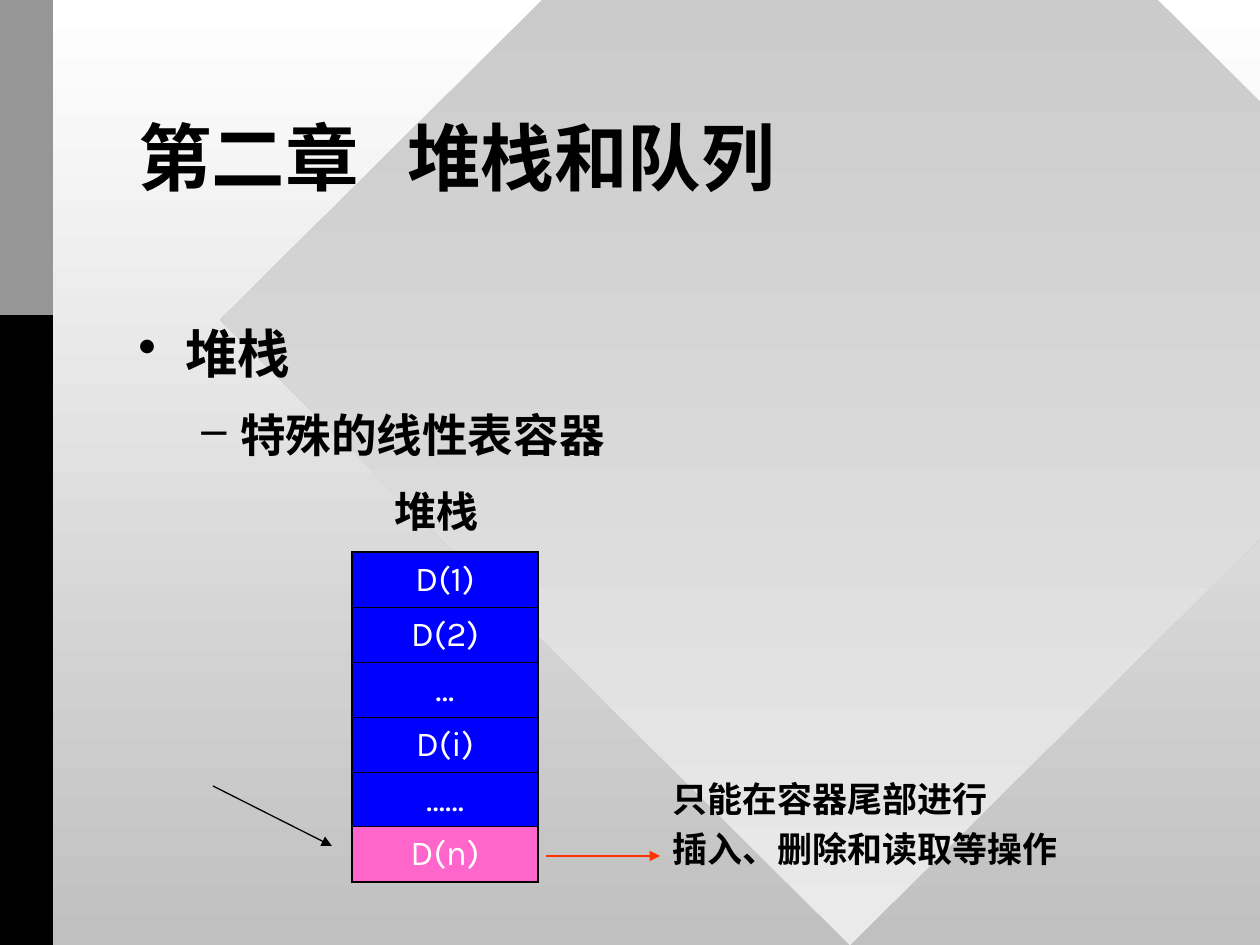
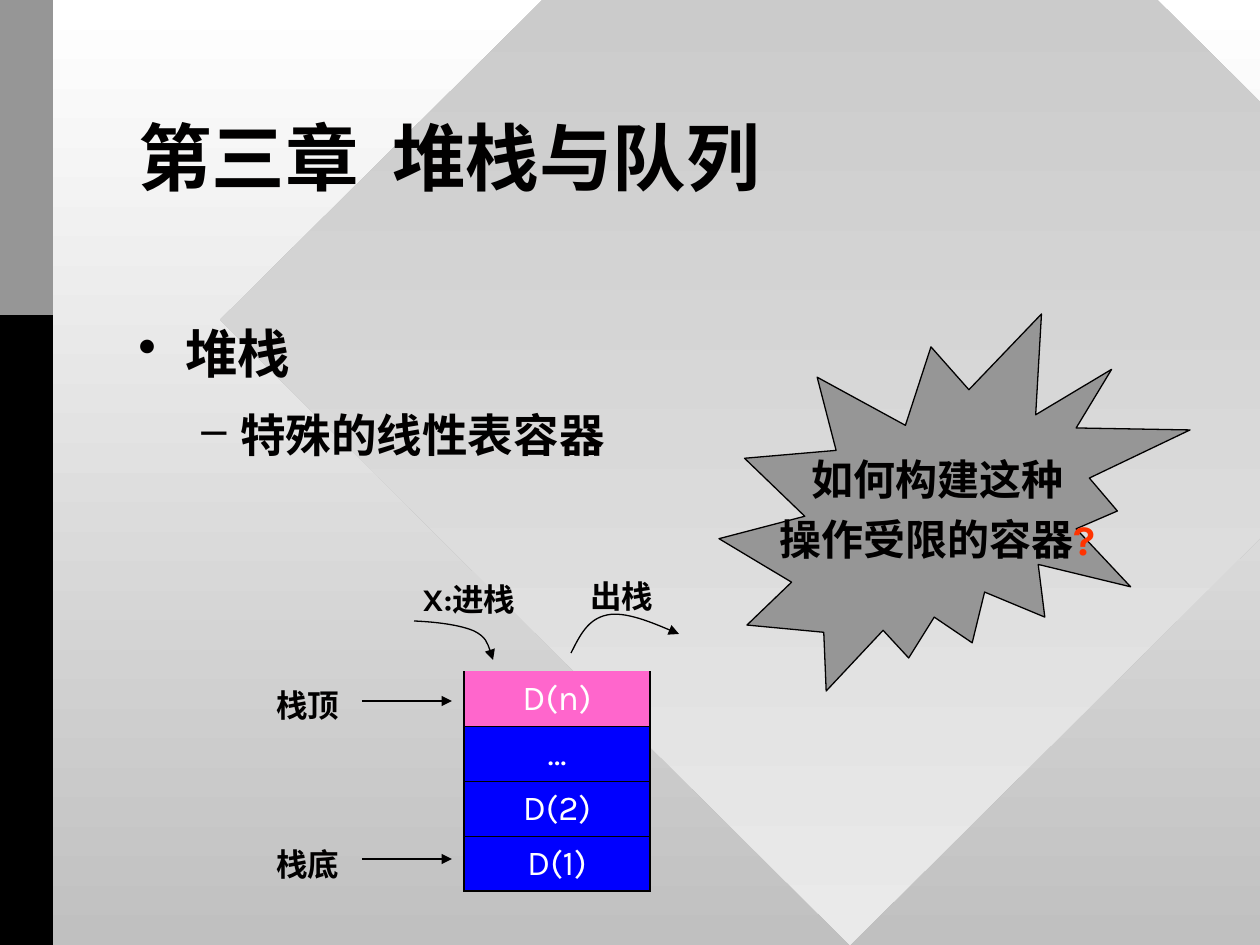
from lxml import etree
from pptx import Presentation
from pptx.dml.color import RGBColor
from pptx.enum.shapes import MSO_CONNECTOR, MSO_SHAPE
from pptx.enum.text import MSO_ANCHOR, MSO_AUTO_SIZE, PP_ALIGN
from pptx.oxml.ns import qn
from pptx.util import Pt

SCALE = 914400 / 126
FONT = "Karla"
COLORS = {
    "ink": "010000",
    "black": "000000",
    "white": "FFFFFF",
    "gray": "969696",
    "silver": "C0C0C0",
    "pale": "EAEAEA",
    "cell": "0000FF",
    "end": "FF66CC",
    "accent": "FF3300",
}
LEFT, CENTER = PP_ALIGN.LEFT, PP_ALIGN.CENTER
MIDDLE = MSO_ANCHOR.MIDDLE
FIT_SHAPE = MSO_AUTO_SIZE.SHAPE_TO_FIT_TEXT
STRAIGHT = MSO_CONNECTOR.STRAIGHT
DIAMOND, RECTANGLE, BURST = MSO_SHAPE.DIAMOND, MSO_SHAPE.RECTANGLE, MSO_SHAPE.EXPLOSION2
LINE_WIDTH, THIN, THICK = 0.74, 0.45, 1.08
ROW_HEIGHT, STACK_WIDTH = 55, 186


def px(length):
    return round(length * SCALE)


def rgb(color):
    return RGBColor.from_string(COLORS[color])


def write(frame, text, size, color="ink", bold=True, align=LEFT, before=0,
          spacing=None, bullet=None, margin=0, hanging=0, level=0, accent=""):
    paragraph = frame.paragraphs[0]
    if paragraph.runs:
        paragraph = frame.add_paragraph()
    paragraph.alignment = align
    paragraph.level = level
    paragraph.space_before = Pt(before)
    if spacing:
        paragraph.line_spacing = spacing
    if bullet:
        properties = paragraph._p.get_or_add_pPr()
        properties.set("marL", str(px(margin)))
        properties.set("indent", str(-px(hanging)))
        etree.SubElement(properties, qn("a:buChar")).set("char", bullet)
    for words, shade in ((text, color), (accent, "accent")):
        if words:
            run = paragraph.add_run()
            run.text = words
            run.font.name = FONT
            run.font.size = Pt(size)
            run.font.bold = bold
            run.font.color.rgb = rgb(shade)


def text_box(slide, left, top, width, height, wrap=True, grow=True):
    frame = slide.shapes.add_textbox(px(left), px(top), px(width), px(height)).text_frame
    frame.word_wrap = wrap
    if grow:
        frame.auto_size = FIT_SHAPE
    return frame


def label(slide, text, left, top, width, height=50, size=18, before=4.5):
    write(text_box(slide, left, top, width, height, wrap=False), text, size, before=before)


def fade(fill, start, end):
    fill.gradient()
    fill.gradient_angle = 270
    for stop, color in zip(fill.gradient_stops, (start, end)):
        stop.color.rgb = rgb(color)


def preset(slide, kind, left, top, width, height, fill=None, line=None):
    shape = slide.shapes.add_shape(kind, px(left), px(top), px(width), px(height))
    shape.shadow.inherit = False
    if fill:
        shape.fill.solid()
        shape.fill.fore_color.rgb = rgb(fill)
    if line:
        shape.line.color.rgb = rgb(line)
        shape.line.width = Pt(LINE_WIDTH)
    else:
        shape.line.fill.background()
    return shape


def add_arrowhead(shape, color):
    shape.line.color.rgb = rgb(color)
    shape.line.width = Pt(LINE_WIDTH)
    outline = shape._element.spPr.find(qn("a:ln"))
    etree.SubElement(outline, qn("a:tailEnd")).set("type", "triangle")


def arrow(slide, start, end, color="ink"):
    connector = slide.shapes.add_connector(STRAIGHT, *map(px, start + end))
    add_arrowhead(connector, color)
    etree.SubElement(connector._element.spPr, qn("a:effectLst"))


def curved_arrow(slide, start, *points):
    builder = slide.shapes.build_freeform(*start, scale=SCALE)
    builder.add_line_segments(points, close=False)
    curve = builder.convert_to_shape()
    curve.shadow.inherit = False
    curve.fill.background()
    add_arrowhead(curve, "ink")
    segments = list(curve._element.iter(qn("a:lnTo")))
    for first, second, third in zip(*[iter(segments)] * 3):
        first.tag = qn("a:cubicBezTo")
        for segment in (second, third):
            first.append(segment[0])
            segment.getparent().remove(segment)


def add_borders(cell, top, bottom):
    properties = cell._tc.get_or_add_tcPr()
    widths = {"a:lnL": THICK, "a:lnR": THICK, "a:lnT": top, "a:lnB": bottom}
    for position, (side, width) in enumerate(widths.items()):
        border = etree.Element(qn(side), w=str(Pt(width)))
        if width:
            fill = etree.SubElement(border, qn("a:solidFill"))
            etree.SubElement(fill, qn("a:srgbClr")).set("val", COLORS["ink"])
        else:
            etree.SubElement(border, qn("a:noFill"))
        properties.insert(position, border)


def stack_table(slide, left, top, entries, top_border):
    count = len(entries)
    table = slide.shapes.add_table(count, 1, px(left), px(top), px(STACK_WIDTH),
                                   px(ROW_HEIGHT * count)).table
    table.first_row = table.horz_banding = False
    for row, entry in enumerate(entries):
        table.rows[row].height = px(ROW_HEIGHT)
        cell = table.cell(row, 0)
        cell.vertical_anchor = MIDDLE
        cell.fill.solid()
        cell.fill.fore_color.rgb = rgb("end" if entry == "D(n)" else "cell")
        write(cell.text_frame, entry, 20, "white", bold=False, align=CENTER, before=15)
        add_borders(cell, THIN if row else top_border, THIN if row < count - 1 else THICK)


def chapter_slide(deck, title):
    slide = deck.slides.add_slide(deck.slide_layouts[6])
    fade(slide.background.fill, "white", "silver")
    fade(preset(slide, DIAMOND, 220, -305, 1260, 1250).fill, "silver", "pale")
    preset(slide, RECTANGLE, 0, 0, 53, 945, "black")
    preset(slide, RECTANGLE, 0, 0, 53, 315, "gray")
    heading = text_box(slide, 126, 84, 1008, 158, grow=False)
    heading.vertical_anchor = MIDDLE
    write(heading, title, 42, spacing=0.85)
    outline = text_box(slide, 126, 315, 1040, 504, grow=False)
    write(outline, "堆栈", 30, before=22.5, bullet="•", margin=47, hanging=47)
    write(outline, "特殊的线性表容器", 26, before=13, bullet="–", margin=102, hanging=39, level=1)
    return slide


def container_slide(deck):
    slide = chapter_slide(deck, "第二章\t 堆栈和队列")
    stack_table(slide, 352, 552, ["D(1)", "D(2)", "…", "D(i)", "……", "D(n)"], THICK)
    label(slide, "堆栈", 382, 479, 114, 63, size=24, before=6)
    arrow(slide, (213, 786), (332, 846))
    arrow(slide, (546, 856), (660, 856), "accent")
    rule = text_box(slide, 660, 771, 417, 106)
    for line in ("只能在容器尾部进行", "插入、删除和读取等操作"):
        write(rule, line, 20, before=5)


def push_pop_slide(deck):
    slide = chapter_slide(deck, "第三章  堆栈与队列")
    stack_table(slide, 464, 671, ["D(n)", "…", "D(2)", "D(1)"], 0)
    curved_arrow(slide, (414, 621), (437, 622), (460, 625), (474, 631),
                 (486, 637), (490, 649), (493, 660))
    label(slide, "X:进栈", 410, 574, 128)
    question = preset(slide, BURST, 719, 314, 471, 377, "gray", "ink").text_frame
    question.word_wrap = False
    question.vertical_anchor = MIDDLE
    write(question, "如何构建这种", 24, align=CENTER, before=6)
    write(question, "操作受限的容器", 24, align=CENTER, before=6, accent="?")
    curved_arrow(slide, (571, 653), (580, 635), (588, 619), (607, 615),
                 (625, 611), (663, 627), (679, 634))
    label(slide, "出栈", 578, 571, 92)
    for name, label_top, level in (("栈底", 839, 859), ("栈顶", 680, 701)):
        label(slide, name, 264, label_top, 92)
        arrow(slide, (362, level), (452, level))


def main():
    deck = Presentation()
    deck.slide_width, deck.slide_height = px(1260), px(945)
    container_slide(deck)
    push_pop_slide(deck)
    deck.save("out.pptx")


main()
